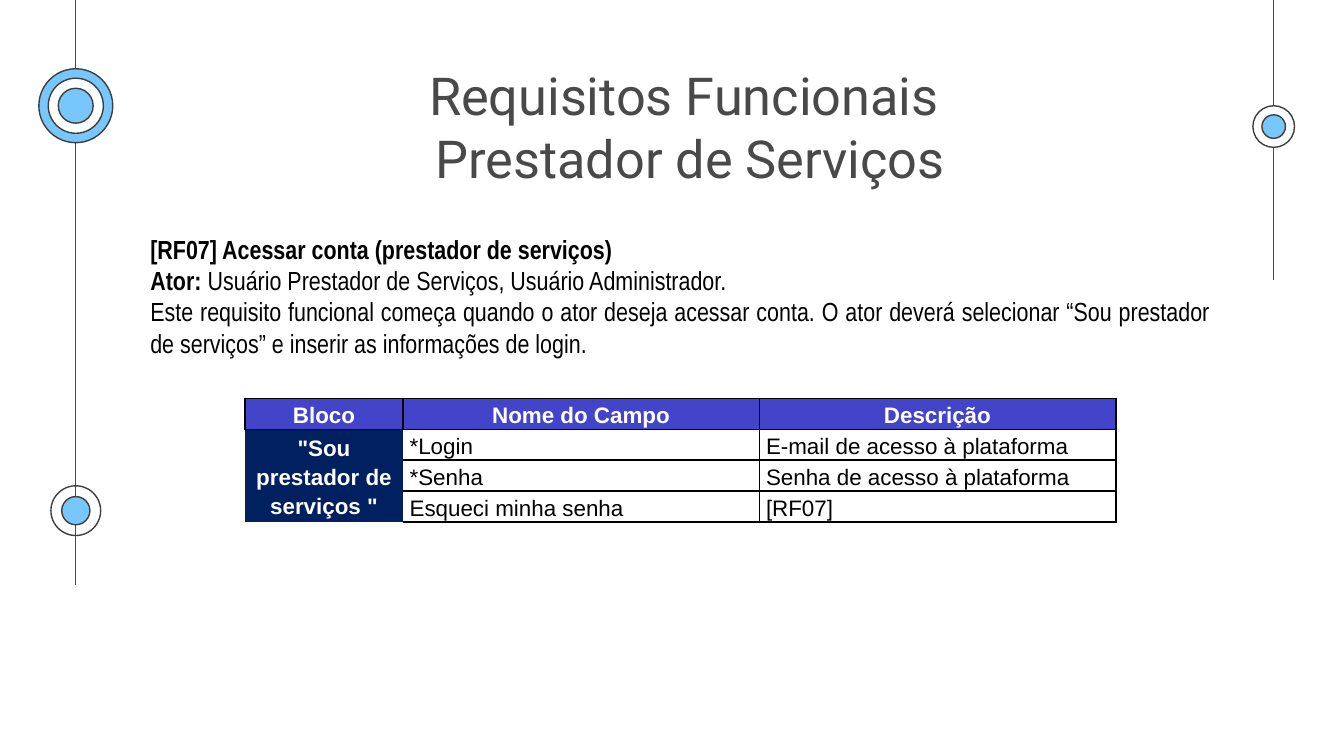
from lxml import etree
from pptx import Presentation, util as u
from pptx.dml.color import RGBColor
from pptx.enum import shapes, text
from pptx.oxml.ns import qn

COLUMNS = 100  # square grid cells across the slide
INK, OUTLINE, SKY, WHITE, BLACK = "494949", "3D3D3D", "77C6FC", "FFFFFF", "000000"
HEADER_BLUE, BLOCK_NAVY = "4245CA", "002060"


def rgb(hex_code):
    return RGBColor.from_string(hex_code)


def grid(*counts):
    """Turn counts of grid cells into slide lengths."""
    return [round(count * prs.slide_width / COLUMNS) for count in counts]


prs = Presentation()
prs.slide_width = u.Inches(10)
prs.slide_height = prs.slide_width * 9 // 16
slide = prs.slides.add_slide(prs.slide_layouts[5])

# Timelines on both sides
left_x, right_x = 5.64, 94.77
for x, end in ((left_x, 43.5), (right_x, 20.8)):
    timeline = slide.shapes.add_connector(
        shapes.MSO_CONNECTOR.STRAIGHT, *grid(x, 0, x, end))
    timeline.line.color.rgb = rgb(INK)
    timeline.line.width = u.Pt(0.75)
    etree.SubElement(timeline._element.spPr, qn("a:effectLst"))

# Concentric circles: centre, then (diameter, fill) from the outside in
markers = [
    (left_x, 38, [(3.7, None), (2.1, SKY)]),
    (right_x, 9.42, [(3.1, WHITE), (1.75, SKY)]),
    (left_x, 7.87, [(5.5, SKY), (4.1, WHITE), (2.6, SKY)]),
]
for x, y, rings in markers:
    for diameter, fill in rings:
        ring = slide.shapes.add_shape(
            shapes.MSO_SHAPE.OVAL,
            *grid(x - diameter / 2, y - diameter / 2, diameter, diameter))
        ring.shadow.inherit = False
        ring.line.color.rgb = rgb(OUTLINE)
        ring.line.width = u.Pt(0.75)
        if fill:
            ring.fill.solid()
            ring.fill.fore_color.rgb = rgb(fill)
        else:
            ring.fill.background()

# Title
title = slide.shapes.title
title.left, title.top, title.width, title.height = grid(30.55, 3.7, 41.6, 6.3)
heading = title.text_frame
heading.text = "Requisitos Funcionais \vPrestador de Serviços"
heading.word_wrap = True
heading.auto_size = text.MSO_AUTO_SIZE.NONE
heading.vertical_anchor = text.MSO_ANCHOR.TOP
heading.margin_left = heading.margin_right = u.Inches(0.1)
heading.margin_top = heading.margin_bottom = u.Inches(0.1)
heading_line = heading.paragraphs[0]
heading_line.alignment = text.PP_ALIGN.CENTER
heading_line.font.name, heading_line.font.size = "Roboto", u.Pt(28)
heading_line.font.bold = False
heading_line.font.color.rgb = rgb(INK)

# Requirement description: (bold part, regular part)
description = [
    ("[RF07] Acessar conta (prestador de serviços)", ""),
    ("Ator: ", "Usuário Prestador de Serviços, Usuário Administrador."),
    ("", "Este requisito funcional começa quando o ator deseja acessar conta. "
         "O ator deverá selecionar “Sou prestador de serviços” e inserir as "
         "informações de login."),
]
requirement = slide.shapes.add_textbox(*grid(10.2, 16.85, 80.9, 12.8)).text_frame
requirement.word_wrap = True
for index, parts in enumerate(description):
    line = requirement.paragraphs[0] if index == 0 else requirement.add_paragraph()
    line.alignment = text.PP_ALIGN.JUSTIFY
    line.font.name, line.font.size = "Arial Narrow", u.Pt(14)
    line.font.color.rgb = rgb(BLACK)
    for part, bold in zip(parts, (True, False)):
        if part:
            run = line.add_run()
            run.text, run.font.bold = part, bold

# Field table
fields = [
    ("Bloco", "Nome do Campo", "Descrição"),
    ('"Sou prestador de serviços "', "*Login", "E-mail de acesso à plataforma"),
    ("", "*Senha", "Senha de acesso à plataforma"),
    ("", "Esqueci minha senha", "[RF07]"),
]
table = slide.shapes.add_table(len(fields), 3, *grid(18.24, 29.64, 64.8, 9)).table
table.first_row = table.horz_banding = False
table._tbl.tblPr.find(qn("a:tableStyleId")).text = "{2D5ABB26-0587-4C30-8999-92F81FD0307C}"
for column, width in zip(table.columns, grid(11.74, 26.52, 26.52)):
    column.width = width
table.cell(1, 0).merge(table.cell(3, 0))

for r, row in enumerate(fields):
    for c, wording in enumerate(row):
        cell = table.cell(r, c)
        if cell.is_spanned:
            continue
        is_header, is_block = r == 0, r > 0 and c == 0
        sides = "T" if is_block else "RTB" if r and c == 1 else "LRTB"
        cell_properties = cell._tc.get_or_add_tcPr()
        for side in sides:
            border = etree.SubElement(cell_properties, qn(f"a:ln{side}"), w=str(u.Pt(1)))
            paint = etree.SubElement(border, qn("a:solidFill"))
            etree.SubElement(paint, qn("a:srgbClr"), val=BLACK)
        if is_header or is_block:
            cell.fill.solid()
            cell.fill.fore_color.rgb = rgb(HEADER_BLUE if is_header else BLOCK_NAVY)
        else:
            cell.fill.background()
        cell.margin_left = cell.margin_right = u.Inches(0.05)
        cell.margin_top = cell.margin_bottom = 0
        cell.vertical_anchor = text.MSO_ANCHOR.MIDDLE
        cell.text = wording
        entry = cell.text_frame.paragraphs[0]
        entry.line_spacing = 1.15
        entry.alignment = text.PP_ALIGN.CENTER if is_header or is_block else text.PP_ALIGN.LEFT
        entry.font.name, entry.font.size = "Arial", u.Pt(12)
        entry.font.bold = is_header or is_block
        entry.font.color.rgb = rgb(WHITE if is_header or is_block else BLACK)

prs.save("out.pptx")
